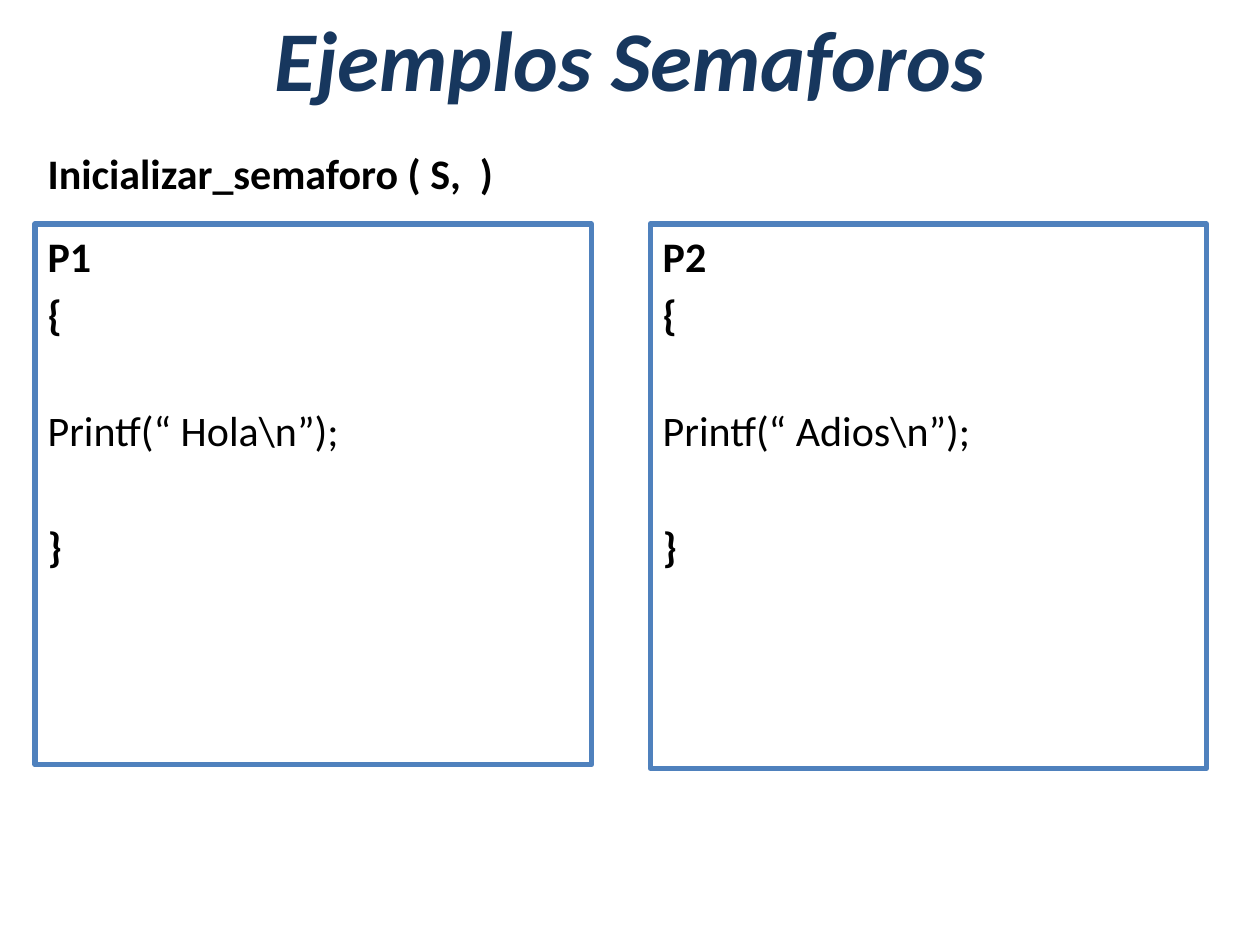
from dataclasses import dataclass

from lxml.etree import SubElement
from pptx import Presentation
from pptx.dml.color import RGBColor
from pptx.enum.text import MSO_ANCHOR as Anchor, MSO_AUTO_SIZE as AutoSize, PP_ALIGN as Align
from pptx.oxml.ns import qn
from pptx.util import Pt


@dataclass(frozen=True)
class Theme:
    font: str = "Calibri"
    title_color: RGBColor = RGBColor(0x17, 0x37, 0x5E)
    text_color: RGBColor = RGBColor(0, 0, 0)
    border: RGBColor = RGBColor(0x4F, 0x81, 0xBD)
    title_size: float = 48.6
    body_size: float = 24
    line_gap: float = 4.2
    block_gap: float = 37.6


THEME = Theme()
COMPARISON_LAYOUT = 4
LEFT, COLUMN_STEP, COLUMN_WIDTH = 20, 351.5, 318


def place(sp, left, top, width, height, anchor):
    sp.left, sp.top, sp.width, sp.height = map(Pt, (left, top, width, height))
    tf = sp.text_frame
    tf.word_wrap = True
    tf.auto_size = AutoSize.NONE
    tf.vertical_anchor = anchor
    return tf


def add_run(p, text, size, color, bold=True, italic=False):
    r = p.add_run()
    r.text = text
    font = r.font
    font.name, font.size = THEME.font, Pt(size)
    font.bold, font.italic = bold, italic
    font.color.rgb = color


def add_title(s, text):
    p = place(s.shapes.title, 36, 0, 648, 66, Anchor.MIDDLE).paragraphs[0]
    p.alignment = Align.CENTER
    add_run(p, text, THEME.title_size, THEME.title_color, italic=True)


def add_heading(sp, text):
    p = place(sp, LEFT, 66, COLUMN_WIDTH, 50.5, Anchor.BOTTOM).paragraphs[0]
    p.space_before = Pt(0)
    add_run(p, text, THEME.body_size, THEME.text_color)


def add_process(sp, column, height, name, statement):
    """Fill a bordered box with a process whose body is a single statement."""
    tf = place(sp, LEFT + column * COLUMN_STEP, 128, COLUMN_WIDTH, height, Anchor.TOP)
    sp.line.color.rgb = THEME.border
    sp.line.width = Pt(3)
    lines = [
        (name, 0, True),
        ("{", THEME.line_gap, True),
        (statement, THEME.block_gap, False),
        ("}", THEME.block_gap, True),
    ]
    for i, (text, gap, bold) in enumerate(lines):
        p = tf.add_paragraph() if i else tf.paragraphs[0]
        p.space_before = Pt(gap)
        pPr = p._p.get_or_add_pPr()
        pPr.set("marL", "0")
        pPr.set("indent", "0")
        SubElement(pPr, qn("a:buNone"))
        add_run(p, text, THEME.body_size, THEME.text_color, bold)


def main():
    prs = Presentation()
    prs.slide_width, prs.slide_height = Pt(720), Pt(540)
    s = prs.slides.add_slide(prs.slide_layouts[COMPARISON_LAYOUT])
    _, heading, first, unused, second = s.placeholders
    unused.element.getparent().remove(unused.element)

    add_title(s, "Ejemplos Semaforos")
    add_heading(heading, "Inicializar_semaforo ( S,  )")
    add_process(first, 0, 309, "P1", "Printf(“ Hola\\n”);")
    add_process(second, 1, 311, "P2", "Printf(“ Adios\\n”);")
    prs.save("out.pptx")


if __name__ == "__main__":
    main()
